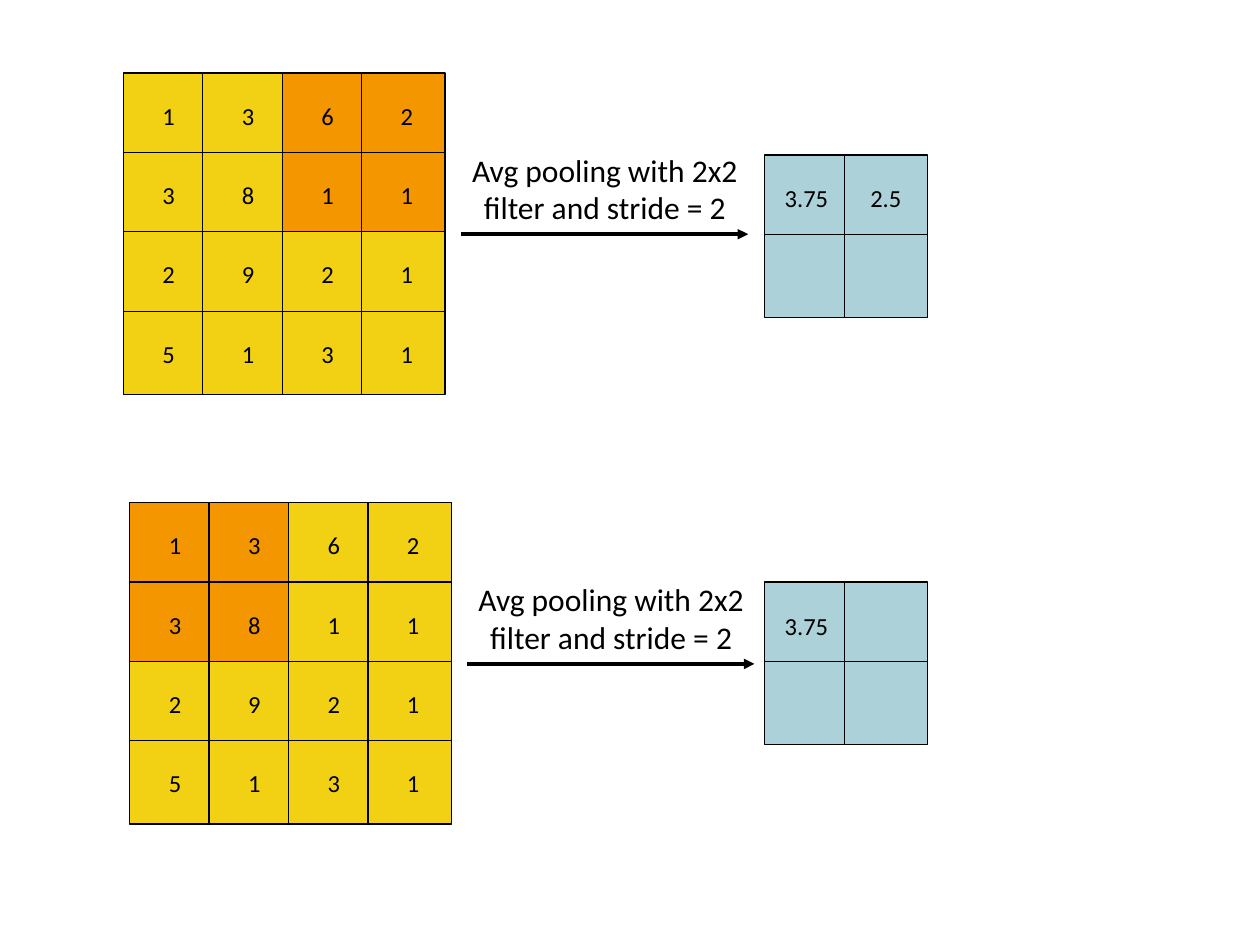
from dataclasses import dataclass

from lxml.etree import SubElement
from pptx import Presentation
from pptx.dml.color import RGBColor
from pptx.enum.shapes import MSO_CONNECTOR as Connector, MSO_SHAPE as Preset
from pptx.enum.text import MSO_ANCHOR as Anchor, PP_ALIGN as Align
from pptx.oxml.ns import qn
from pptx.util import Inches, Pt

STEP = 0.63
CELL = 1.05
YELLOW, ORANGE, BLUE, BLACK = "F2D115", "F39600", "ACD1D8", "000000"
CAPTION = "Avg pooling with 2x2 filter and stride = 2"
INPUT = ("1362", "3811", "2921", "5131")


@dataclass(frozen=True)
class Grid:
    left: float
    top: float

    def x(self, column: float) -> int:
        return Inches(self.left + column * STEP)

    def y(self, row: float) -> int:
        return Inches(self.top + row * STEP)


@dataclass(frozen=True)
class Pooling:
    source: Grid
    result: Grid
    window_column: int
    averages: tuple[str, ...]


POOLINGS = (
    Pooling(Grid(0.98, 0.58), Grid(6.07, 1.23), 2, ("3.75", "2.5")),
    Pooling(Grid(1.03, 3.99), Grid(6.07, 4.62), 0, ("3.75",)),
)


def span(steps: float) -> int:
    return Inches(steps * STEP)


def color(value: str) -> RGBColor:
    return RGBColor.from_string(value)


def write(box, text: str, *, size: float = 14, anchor=Anchor.TOP,
          insets: tuple[float, ...] = (0.1, 0.05, 0.1, 0.05)) -> None:
    frame = box.text_frame
    frame.word_wrap = True
    frame.vertical_anchor = anchor
    (frame.margin_left, frame.margin_top,
     frame.margin_right, frame.margin_bottom) = map(Inches, insets)
    para = frame.paragraphs[0]
    para.alignment = Align.CENTER
    run = para.add_run()
    run.text = text
    run.font.name = "Calibri"
    run.font.size = Pt(size)
    run.font.color.rgb = color(BLACK)


def add_cell(page, grid: Grid, column: int, row: int, fill: str, text: str = "") -> None:
    box = page.shapes.add_shape(
        Preset.RECTANGLE, grid.x(column), grid.y(row), span(CELL), span(CELL))
    box.shadow.inherit = False
    box.fill.solid()
    box.fill.fore_color.rgb = color(fill)
    box.line.color.rgb = color(BLACK)
    box.line.width = Pt(0)
    if text:
        write(box, text, anchor=Anchor.MIDDLE, insets=(0.31, 0.06, 0.31, 0.05))


def add_label(page, grid: Grid, column: float, row: float,
              columns: float, rows: float, text: str, size: float) -> None:
    box = page.shapes.add_textbox(
        grid.x(column), grid.y(row), span(columns), span(rows))
    write(box, text, size=size)


def add_arrow(page, grid: Grid, start: float, end: float, row: float) -> None:
    arrow = page.shapes.add_connector(
        Connector.STRAIGHT, grid.x(start), grid.y(row), grid.x(end), grid.y(row))
    arrow.line.color.rgb = color(BLACK)
    arrow.line.width = Pt(2)
    SubElement(arrow.line._get_or_add_ln(), qn("a:tailEnd"), type="triangle")
    SubElement(arrow._element.spPr, qn("a:effectLst"))


def draw_pooling(page, pooling: Pooling) -> None:
    source, result = pooling.source, pooling.result
    window = range(pooling.window_column, pooling.window_column + 2)
    for row, digits in enumerate(INPUT):
        for column, digit in enumerate(digits):
            fill = ORANGE if row < 2 and column in window else YELLOW
            add_cell(page, source, column, row, fill, digit)
    add_arrow(page, source, 4.25, 7.87, 2.03)
    add_label(page, source, 4.13, 0.9, 3.87, 1.11, CAPTION, 18)
    for row in range(2):
        for column in range(2):
            add_cell(page, result, column, row, BLUE)
    for column, average in enumerate(pooling.averages):
        add_label(page, result, column - 0.27, 0.28, 1.59, 0.54, average, 14)


def main() -> None:
    deck = Presentation()
    deck.slide_width, deck.slide_height = Inches(10), Inches(7.5)
    page = deck.slides.add_slide(deck.slide_layouts[6])
    for pooling in POOLINGS:
        draw_pooling(page, pooling)
    deck.save("out.pptx")


if __name__ == "__main__":
    main()
